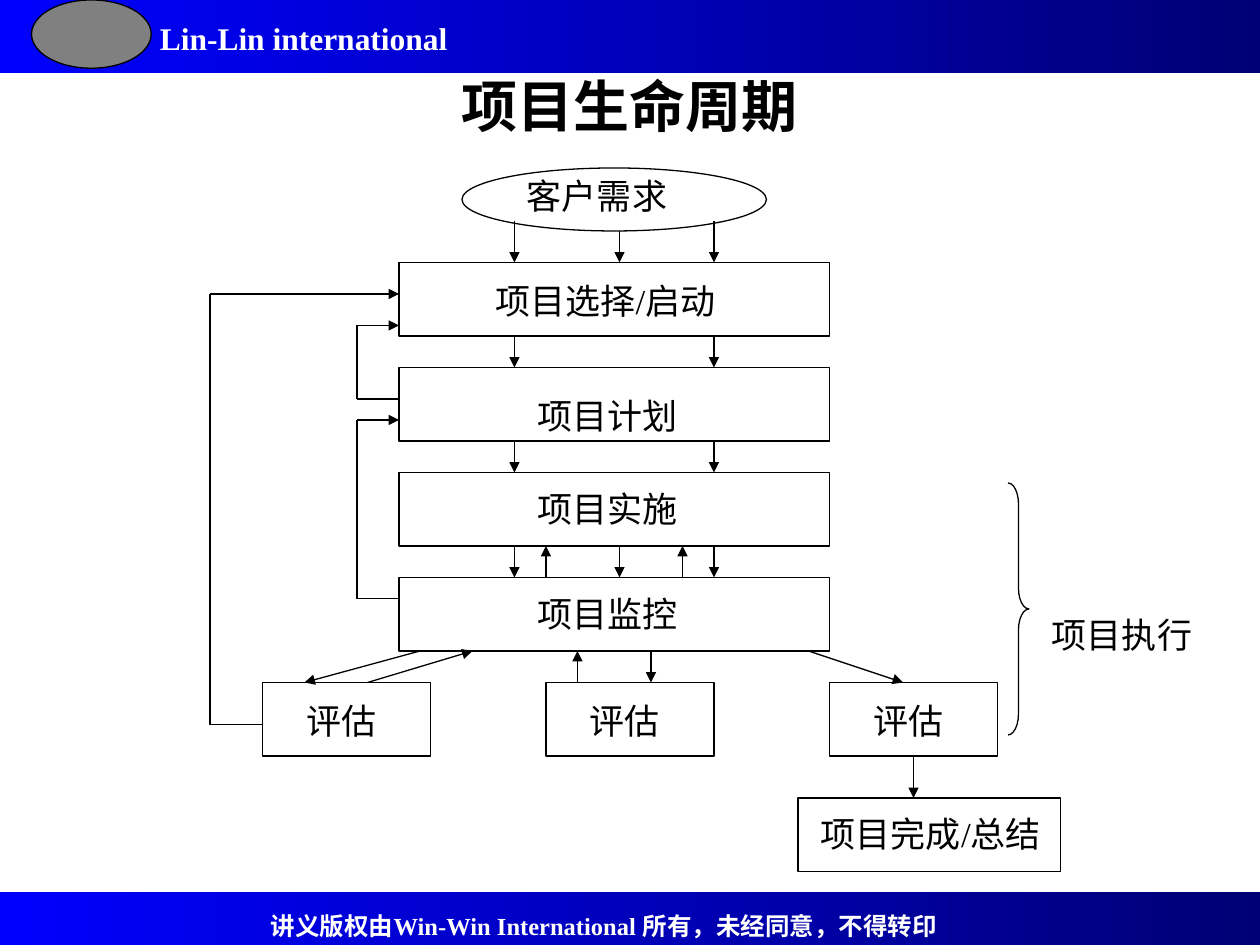
from dataclasses import dataclass

from lxml import etree
from pptx import Presentation
from pptx.dml.color import RGBColor
from pptx.enum.shapes import MSO_CONNECTOR, MSO_SHAPE
from pptx.enum.text import MSO_ANCHOR, MSO_AUTO_SIZE, PP_ALIGN
from pptx.oxml.ns import qn
from pptx.util import Inches, Length, Pt

RECT, OVAL, BRACE = MSO_SHAPE.RECTANGLE, MSO_SHAPE.OVAL, MSO_SHAPE.RIGHT_BRACE
STRAIGHT = MSO_CONNECTOR.STRAIGHT
CENTER, MIDDLE, FIXED = PP_ALIGN.CENTER, MSO_ANCHOR.MIDDLE, MSO_AUTO_SIZE.NONE
BOTTOM = 2


@dataclass(frozen=True)
class Theme:
    font: str = "Times New Roman"
    ink: RGBColor = RGBColor(0, 0, 0)
    light: RGBColor = RGBColor(255, 255, 255)
    navy: RGBColor = RGBColor(0, 0, 0x75)
    blue: RGBColor = RGBColor(0, 0, 0xFF)
    gray: RGBColor = RGBColor(0x80, 0x80, 0x80)
    line: float = 0.75
    title: int = 32
    head: int = 18
    foot: int = 14
    body: int = 20


@dataclass(frozen=True)
class Node:
    """A box in grid units, with its label's left and top."""
    text: str
    x: float
    y: float
    w: float
    h: float
    left: float
    top: float
    kind: MSO_SHAPE = RECT


@dataclass(frozen=True)
class Arrow:
    x1: float
    y1: float
    x2: float
    y2: float


@dataclass(frozen=True)
class Loop:
    """A feedback path: out to the left, up the spine, back to the stages."""
    x: float
    low: float
    spine: float
    high: float


THEME = Theme()
STAGE_X, STAGE_W, NODE_H = 38, 41, 7
EVAL_Y, EVAL_W = 65, 16
MONITOR_END = 62

NODES = [
    Node("项目选择/启动", STAGE_X, 25, STAGE_W, NODE_H, 46, 26),
    Node("项目计划", STAGE_X, 35, STAGE_W, NODE_H, 50, 37),
    Node("项目实施", STAGE_X, 45, STAGE_W, NODE_H, 50, 45.8),
    Node("项目监控", STAGE_X, 55, STAGE_W, NODE_H, 50, 55.8),
    *[Node("评估", x, EVAL_Y, EVAL_W, NODE_H, x + 3, 66) for x in (25, 52, 79)],
    Node("客户需求", 44, 16, 29, 6, 49, 16, OVAL),
    Node("项目完成/总结", 76, 76, 25, NODE_H, 77, 76.8),
]
LOOPS = [Loop(25, 69, 20, 28), Loop(38, 38, 34, 31), Loop(38, 57, 34, 40)]
ARROWS = [
    *[Arrow(x, y1, x, y2) for x in (49, 68)
      for y1, y2 in ((21, 25), (32, 35), (42, 45), (52, 55))],
    *[Arrow(59, y, 59, y + 3) for y in (22, 52)],
    *[Arrow(x, 55, x, 52) for x in (52, 65)],
    Arrow(40, MONITOR_END, 29, EVAL_Y),
    Arrow(35, EVAL_Y, 45, MONITOR_END),
    Arrow(55, EVAL_Y, 55, MONITOR_END),
    Arrow(62, MONITOR_END, 62, EVAL_Y),
    Arrow(77, MONITOR_END, 86, EVAL_Y),
]


def grid(n: float) -> Length:
    """Turn grid units, twelve to the inch, into a length."""
    return Inches(n / 12)


def write(para, text: str, size: int, color: RGBColor, bold: bool = False) -> None:
    run = para.add_run()
    run.text = text
    font = run.font
    font.name, font.size, font.bold = THEME.font, Pt(size), bold
    font.color.rgb = color


def outline(slide, kind: MSO_SHAPE, x: float, y: float, w: float, h: float):
    shape = slide.shapes.add_shape(kind, grid(x), grid(y), grid(w), grid(h))
    shape.shadow.inherit = False
    shape.fill.background()
    shape.line.color.rgb = THEME.ink
    shape.line.width = Pt(THEME.line)
    return shape


def label(slide, text: str, x: float, y: float, w: float = 25) -> None:
    box = slide.shapes.add_textbox(grid(x), grid(y), grid(w), Inches(0.44))
    box.text_frame.word_wrap = True
    write(box.text_frame.paragraphs[0], text, THEME.body, THEME.ink)


def band(slide, top: float, height: float) -> None:
    bar = slide.shapes.add_shape(RECT, 0, Inches(top), Inches(10), Inches(height))
    bar.shadow.inherit = False
    bar.line.fill.background()
    bar.fill.gradient()
    bar.fill.gradient_angle = 180
    for stop, color in zip(bar.fill.gradient_stops, (THEME.navy, THEME.blue)):
        stop.color.rgb = color


def banner(slide, text: str, size: int, x: float, y: float, w: float, h: float) -> None:
    box = slide.shapes.add_textbox(Inches(x), Inches(y), Inches(w), Inches(h))
    box.text_frame.word_wrap = False
    write(box.text_frame.paragraphs[0], text, size, THEME.light, True)


def link(slide, arrow: Arrow, head: bool = True):
    line = slide.shapes.add_connector(
        STRAIGHT, grid(arrow.x1), grid(arrow.y1), grid(arrow.x2), grid(arrow.y2))
    line.line.color.rgb = THEME.ink
    line.line.width = Pt(THEME.line)
    props = line._element.spPr
    if head:
        etree.SubElement(props.find(qn("a:ln")), qn("a:tailEnd"), type="triangle")
    etree.SubElement(props, qn("a:effectLst"))
    return line


def circuit(slide, loop: Loop) -> None:
    link(slide, Arrow(loop.x, loop.low, loop.spine, loop.low), False)
    link(slide, Arrow(loop.spine, loop.low, loop.spine, loop.high), False)
    link(slide, Arrow(loop.spine, loop.high, STAGE_X, loop.high))


def heading(slide, text: str) -> None:
    title = slide.shapes.title
    title.left, title.top = Inches(0.75), Inches(0.42)
    title.width, title.height = Inches(8.5), Inches(0.83)
    frame = title.text_frame
    frame.auto_size, frame.vertical_anchor = FIXED, MIDDLE
    para = frame.paragraphs[0]
    para.alignment = CENTER
    write(para, text, THEME.title, THEME.ink, True)


def main() -> None:
    deck = Presentation()
    deck.slide_width, deck.slide_height = Inches(10), Inches(7.5)
    slide = deck.slides.add_slide(deck.slide_layouts[5])

    band(slide, 0, 0.58)
    banner(slide, "Lin-Lin international", THEME.head, 1.17, 0.1, 2.65, 0.4)
    band(slide, 7.08, 0.42)
    banner(slide, "讲义版权由Win-Win International 所有，未经同意，不得转印",
           THEME.foot, 2.05, 7.18, 5.59, 0.34)
    heading(slide, "项目生命周期")

    shapes = [outline(slide, n.kind, n.x, n.y, n.w, n.h) for n in NODES]
    for node in NODES:
        label(slide, node.text, node.left, node.top)
    for loop in LOOPS:
        circuit(slide, loop)
    for arrow in ARROWS:
        link(slide, arrow)
    last = link(slide, Arrow(87, 72, 87, 76))
    last.begin_connect(shapes[6], BOTTOM)

    brace = outline(slide, BRACE, 96, 46, 2, 24)
    brace.adjustments[0] = 1
    label(slide, "项目执行", 99, 57.8, 20)

    badge = outline(slide, OVAL, 3, 0, 11.4, 6.5)
    badge.fill.solid()
    badge.fill.fore_color.rgb = THEME.gray
    deck.save("out.pptx")


if __name__ == "__main__":
    main()
